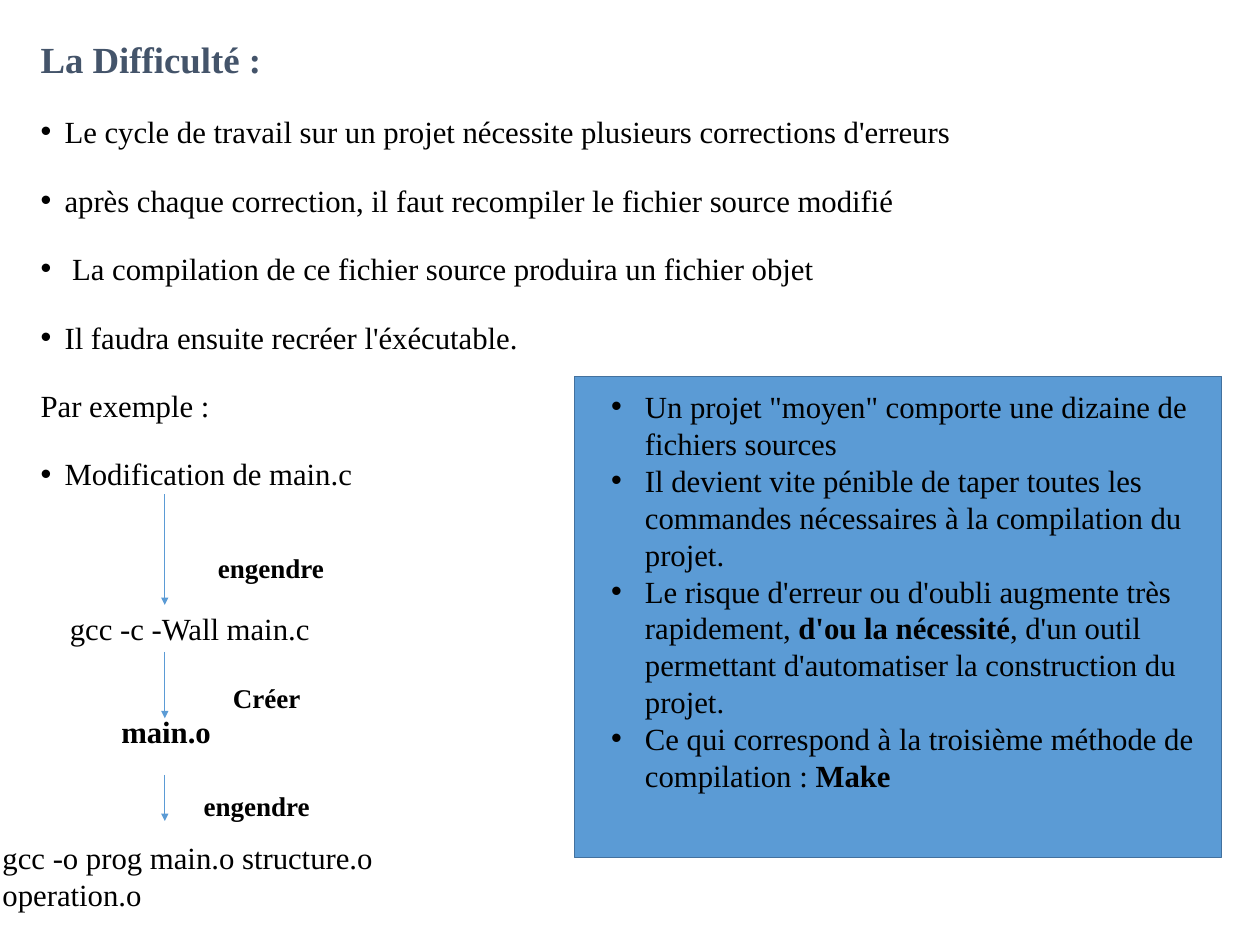
from lxml import etree
from pptx import Presentation
from pptx.dml.color import RGBColor
from pptx.enum.shapes import MSO_CONNECTOR, MSO_SHAPE
from pptx.oxml.ns import qn
from pptx.util import Inches, Pt

STRAIGHT = MSO_CONNECTOR.STRAIGHT
RECTANGLE = MSO_SHAPE.RECTANGLE

BLACK = RGBColor(0x00, 0x00, 0x00)
SLATE = RGBColor(0x44, 0x54, 0x6A)
BLUE = RGBColor(0x5B, 0x9B, 0xD5)
DARK_BLUE = RGBColor(0x43, 0x71, 0x9E)
FONT = "Times New Roman"

TITLE = "La Difficulté :"
# (text, has a bullet)
DIFFICULTIES = [
    ("Le cycle de travail sur un projet nécessite plusieurs corrections d'erreurs", True),
    ("après chaque correction, il faut recompiler le fichier source modifié", True),
    (" La compilation de ce fichier source produira un fichier objet", True),
    ("Il faudra ensuite recréer l'éxécutable.", True),
    ("Par exemple :", False),
    ("Modification de main.c", True),
]
# Each paragraph is a list of (text, bold)
CONCLUSIONS = [
    [("Un projet \"moyen\" comporte une dizaine de fichiers sources", False)],
    [("Il devient vite pénible de taper toutes les commandes nécessaires "
      "à la compilation du projet.", False)],
    [("Le risque d'erreur ou d'oubli augmente très rapidement, ", False),
     ("d'ou la nécessité", True),
     (", d'un outil permettant d'automatiser la construction du projet.", False)],
    [("Ce qui correspond à la troisième méthode de compilation : ", False),
     ("Make", True)],
]
# (text, left, top, width, height, bold)
BUILD_STEPS = [
    ("gcc -c -Wall main.c", 0.69, 6.83, 3.58, 0.52, False),
    ("main.o", 1.27, 8, 1.41, 0.52, True),
    ("gcc -o prog main.o structure.o operation.o", -0.07, 9.42, 5.9, 0.94, False),
]
# (text, left, top, width)
ARROW_LABELS = [
    ("engendre", 2.36, 6.18, 1.42),
    ("Créer", 2.53, 7.64, 1),
    ("engendre", 2.2, 8.87, 1.42),
]
ARROW_X = 1.86
ARROW_SPANS = [(5.58, 6.83), (7.36, 8.11), (8.75, 9.27)]


def add_box(page, left, top, width, height, wrap=True):
    box = page.shapes.add_textbox(Inches(left), Inches(top), Inches(width), Inches(height))
    box.text_frame.word_wrap = wrap
    return box.text_frame


def write(frame, spans, size=25, color=BLACK, indent=0, line=1.0, before=0):
    """Add a paragraph of (text, bold) spans; a positive indent gives it a bullet."""
    first = not frame.paragraphs[0].runs
    para = frame.paragraphs[0] if first else frame.add_paragraph()
    para.line_spacing = line
    para.space_before = Pt(0 if first else before)
    if indent:
        properties = para._p.get_or_add_pPr()
        properties.set("marL", str(Inches(indent)))
        properties.set("indent", str(-Inches(indent)))
        etree.SubElement(properties, qn("a:buFont")).set("typeface", "Arial")
        etree.SubElement(properties, qn("a:buChar")).set("char", "•")
    for text, bold in spans:
        span = para.add_run()
        span.text = text
        span.font.name = FONT
        span.font.size = Pt(size)
        span.font.bold = bold
        span.font.color.rgb = color


def add_arrow(page, x, top, bottom):
    arrow = page.shapes.add_connector(STRAIGHT, Inches(x), Inches(top), Inches(x), Inches(bottom))
    arrow.line.color.rgb = BLUE
    arrow.line.width = Pt(0.5)
    etree.SubElement(arrow.line._get_or_add_ln(), qn("a:tailEnd")).set("type", "triangle")
    etree.SubElement(arrow._element.spPr, qn("a:effectLst"))


def main():
    deck = Presentation()
    deck.slide_width, deck.slide_height = Inches(14.22), Inches(10.67)
    page = deck.slides.add_slide(deck.slide_layouts[6])

    body = add_box(page, 0.36, 0.42, 12.88, 10)
    write(body, [(TITLE, True)], size=29.9, color=SLATE, line=0.9)
    for text, bulleted in DIFFICULTIES:
        write(body, [(text, False)], indent=0.27 if bulleted else 0, line=1.5, before=10.7)

    for top, bottom in ARROW_SPANS:
        add_arrow(page, ARROW_X, top, bottom)
    for text, left, top, width, height, bold in BUILD_STEPS:
        write(add_box(page, left, top, width, height), [(text, bold)])
    for text, left, top, width in ARROW_LABELS:
        write(add_box(page, left, top, width, 0.47, wrap=False), [(text, True)], size=22)

    panel = page.shapes.add_shape(RECTANGLE, Inches(6.48), Inches(4.25), Inches(7.31), Inches(5.43))
    panel.shadow.inherit = False
    panel.fill.solid()
    panel.fill.fore_color.rgb = BLUE
    panel.line.color.rgb = DARK_BLUE
    panel.line.width = Pt(1)
    conclusions = add_box(page, 6.8, 4.33, 6.78, 4.73)
    for spans in CONCLUSIONS:
        write(conclusions, spans, indent=0.38)

    deck.save("out.pptx")


if __name__ == "__main__":
    main()
